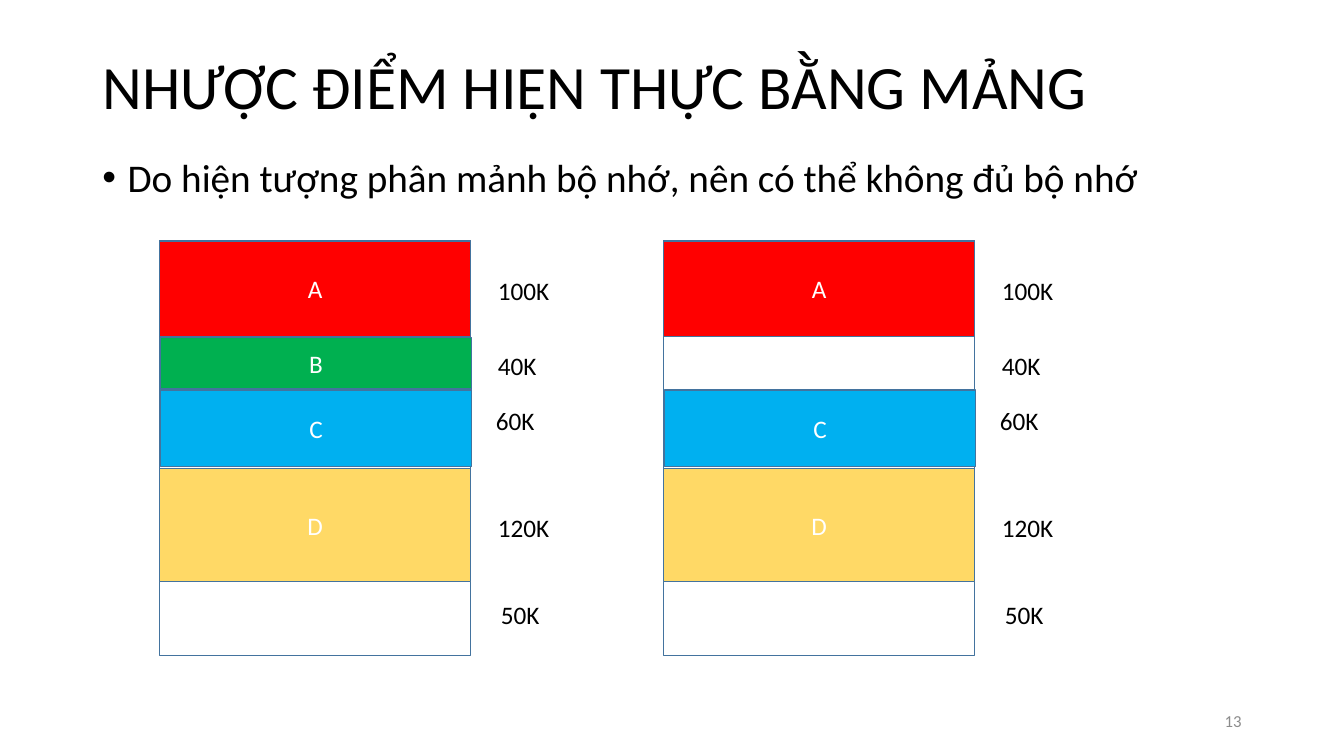
from pptx import Presentation
from pptx.dml.color import RGBColor
from pptx.enum.shapes import MSO_SHAPE
from pptx.enum.text import MSO_ANCHOR, MSO_AUTO_SIZE, PP_ALIGN
from pptx.util import Pt

RECTANGLE = MSO_SHAPE.RECTANGLE
TOP, MIDDLE = MSO_ANCHOR.TOP, MSO_ANCHOR.MIDDLE
LEFT, CENTER, RIGHT = PP_ALIGN.LEFT, PP_ALIGN.CENTER, PP_ALIGN.RIGHT
NO_AUTOFIT = MSO_AUTO_SIZE.NONE

BLACK = RGBColor(0x00, 0x00, 0x00)
WHITE = RGBColor(0xFF, 0xFF, 0xFF)
GRAY = RGBColor(0x8C, 0x8C, 0x8C)
OUTLINE = RGBColor(0x43, 0x73, 0x9E)
RED = RGBColor(0xFF, 0x00, 0x00)
GREEN = RGBColor(0x00, 0xB0, 0x50)
BLUE = RGBColor(0x00, 0xB0, 0xF0)
YELLOW = RGBColor(0xFF, 0xD9, 0x66)

FONT = "Calibri"
BLOCKS = {
    "A": (0, 0, 68.4, RED),
    "B": (0.7, 69.1, 36.7, GREEN),
    "C": (0.7, 106.6, 54.7, BLUE),
    "D": (0, 162.7, 80.6, YELLOW),
}
SIZE_LABELS = [
    ("100K", 12.2, 20.9),
    ("40K", 12.2, 74.9),
    ("60K", 10.8, 113.8),
    ("120K", 12.2, 190.1),
    ("50K", 14.4, 252.7),
]


def write_text(shape, text, size=18, color=BLACK, align=LEFT, anchor=TOP):
    frame = shape.text_frame
    frame.word_wrap = True
    frame.auto_size = NO_AUTOFIT
    frame.vertical_anchor = anchor
    paragraph = frame.paragraphs[0]
    paragraph.alignment = align
    run = paragraph.add_run()
    run.text = text
    run.font.name = FONT
    run.font.size = Pt(size)
    run.font.color.rgb = color
    return paragraph


def place(shape, left, top, width, height):
    shape.left, shape.top = Pt(left), Pt(top)
    shape.width, shape.height = Pt(width), Pt(height)


def add_heading(slide, left, top, width, height):
    title = slide.shapes.title
    place(title, left, top, width, height)
    paragraph = write_text(title, "NHƯỢC ĐIỂM HIỆN THỰC BẰNG MẢNG", size=44, anchor=MIDDLE)
    paragraph.line_spacing = 0.9


def add_body(slide, left, top, width, height):
    body = slide.placeholders[1]
    place(body, left, top, width, height)
    paragraph = write_text(
        body, "Do hiện tượng phân mảnh bộ nhớ, nên có thể không đủ bộ nhớ", size=28
    )
    paragraph.line_spacing = 0.9
    paragraph.space_before = Pt(10)
    properties = paragraph._p.get_or_add_pPr()
    properties.set("marL", str(Pt(18)))
    properties.set("indent", str(Pt(-18)))


def add_page_number(slide, left, top, width, height):
    box = slide.shapes.add_textbox(Pt(left), Pt(top), Pt(width), Pt(height))
    write_text(box, "13", size=12, color=GRAY, align=RIGHT, anchor=MIDDLE)


def add_block(shapes, left, top, width, height, fill=None):
    block = shapes.add_shape(RECTANGLE, Pt(left), Pt(top), Pt(width), Pt(height))
    block.shadow.inherit = False
    block.line.color.rgb = OUTLINE
    block.line.width = Pt(1)
    if fill is None:
        block.fill.background()
    else:
        block.fill.solid()
        block.fill.fore_color.rgb = fill
    return block


def add_memory(shapes, left, top, width, height, names):
    add_block(shapes, left, top, width, height)
    for name in names:
        shift, offset, block_height, fill = BLOCKS[name]
        block = add_block(shapes, left + shift, top + offset, width, block_height, fill)
        write_text(block, name, color=WHITE, align=CENTER, anchor=MIDDLE)
    for text, gap, offset in SIZE_LABELS:
        label = shapes.add_textbox(
            Pt(left + width + gap), Pt(top + offset), Pt(70.6), Pt(29)
        )
        write_text(label, text)


def main():
    presentation = Presentation()
    presentation.slide_width, presentation.slide_height = Pt(960), Pt(540)
    slide = presentation.slides.add_slide(presentation.slide_layouts[1])
    add_heading(slide, 66, 28.8, 828, 70.6)
    add_body(slide, 66, 109.4, 828, 49)
    add_page_number(slide, 678, 500.5, 216, 28.8)
    full_memory = slide.shapes.add_group_shape()
    add_memory(full_memory.shapes, 113.8, 172.1, 222.5, 296, "ABCD")
    add_memory(slide.shapes, 473.8, 172.1, 222.5, 296, "ACD")
    presentation.save("out.pptx")


if __name__ == "__main__":
    main()
